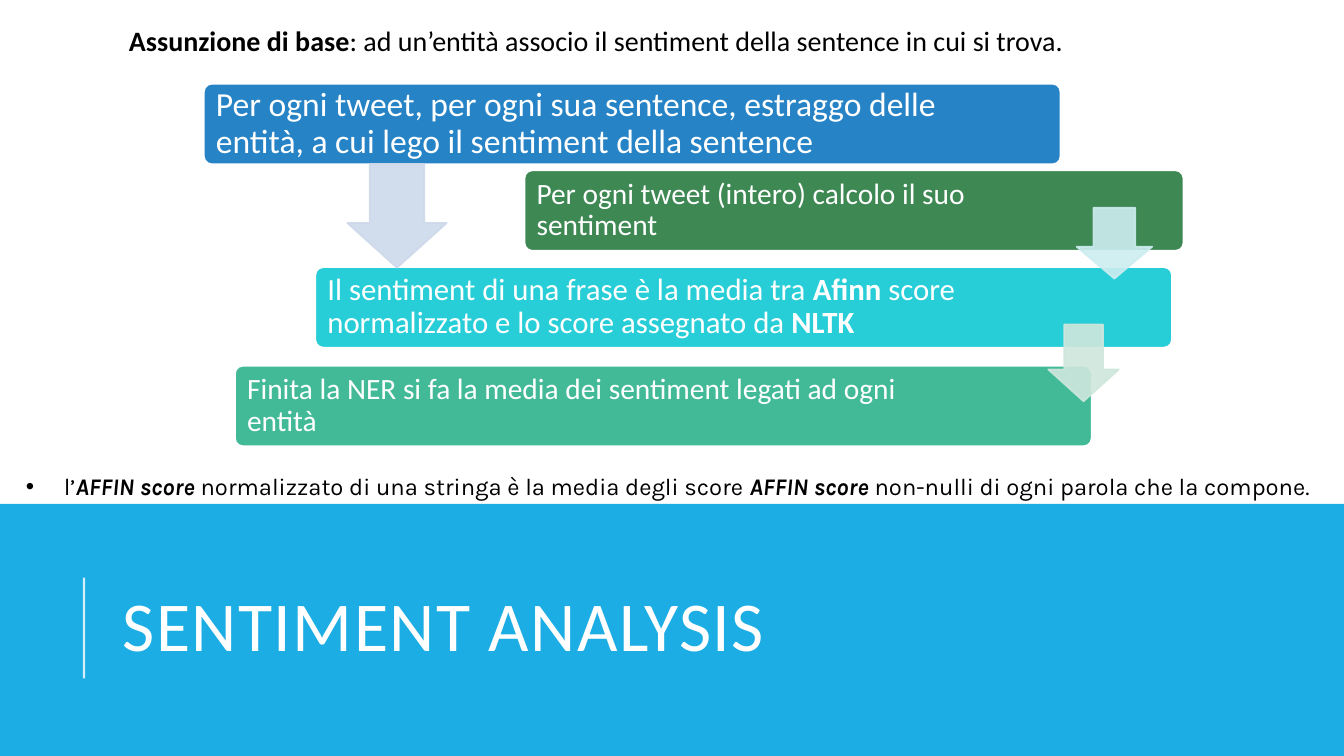
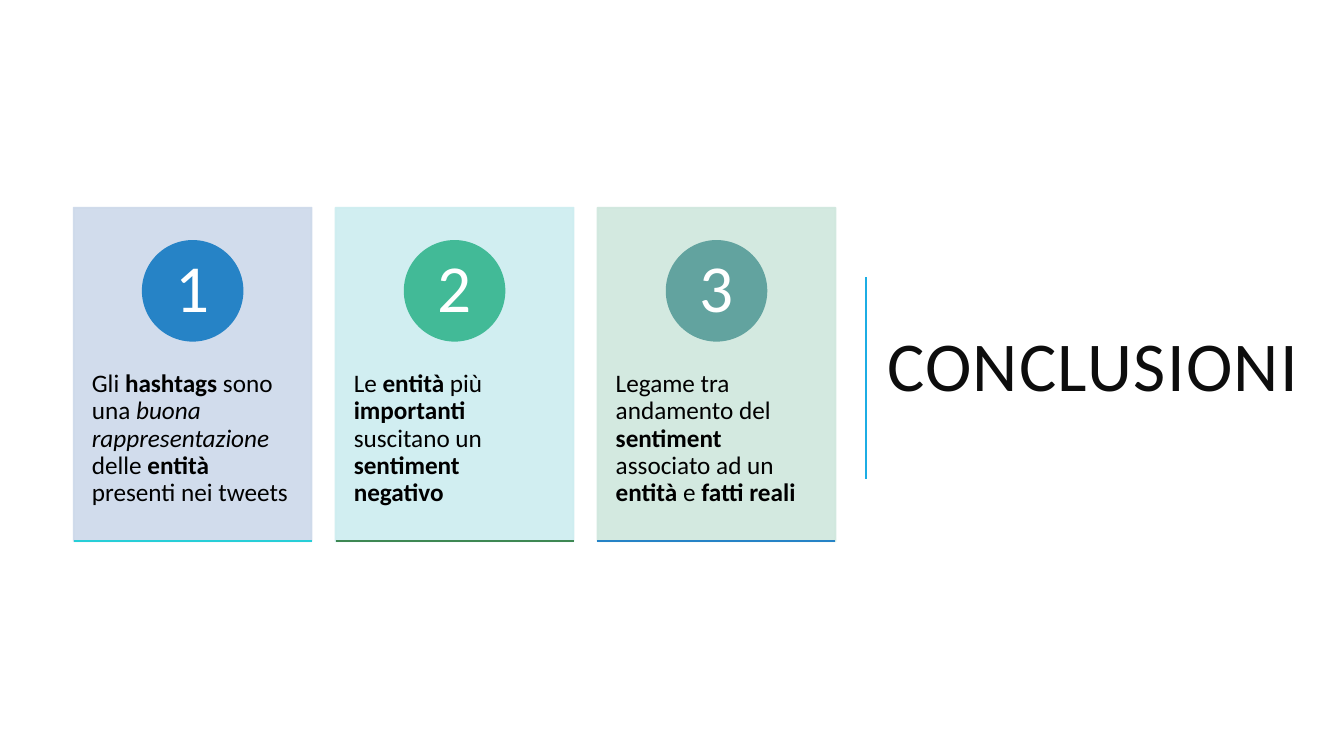
from lxml import etree
from pptx import Presentation
from pptx.dml.color import RGBColor
from pptx.enum.shapes import MSO_CONNECTOR, MSO_SHAPE as SHAPE
from pptx.enum.text import MSO_ANCHOR as ANCHOR, MSO_AUTO_SIZE as AUTO, PP_ALIGN as ALIGN
from pptx.oxml.ns import qn
from pptx.util import Pt

COLORS = {
    "white": "FFFFFF", "black": "000000", "ink": "0D0D0D", "sky": "1CADE4",
    "blue": "2683C6", "cyan": "27CED7", "mint": "42BA97", "green": "3E8853",
    "teal": "62A39F", "pale_blue": "CDD9EA", "pale_cyan": "CDEDF0", "pale_green": "CFE7DD",
}
FONT = "Calibri"
TITLE_ONLY = 5


def rgb(name):
    return RGBColor.from_string(COLORS[name])


def set_alpha(fill, percent):
    """Make a solid fill partly transparent."""
    clr = fill._xPr.find(qn("a:solidFill"))[0]
    etree.SubElement(clr, qn("a:alpha"), val=str(percent * 1000))


def write(tf, runs, size=18, color="black", font=FONT, align=ALIGN.LEFT, anchor=ANCHOR.TOP,
          ins=(7.2, 3.6, 7.2, 3.6), leading=0.9, after=0, spacing=0, bullet_indent=0):
    """Fill a text frame; runs is a string or a list of (text, style), style from "b" and "i"."""
    tf.word_wrap = True
    tf.auto_size = AUTO.NONE
    tf.vertical_anchor = anchor
    tf.margin_left, tf.margin_top, tf.margin_right, tf.margin_bottom = map(Pt, ins)
    p = tf.paragraphs[0]
    p.alignment, p.line_spacing, p.space_after = align, leading, Pt(after)
    for text, style in [(runs, "")] if isinstance(runs, str) else runs:
        r = p.add_run()
        r.text = text
        r.font.name, r.font.size, r.font.color.rgb = font, Pt(size), rgb(color)
        r.font.bold, r.font.italic = "b" in style, "i" in style
        if spacing:
            r.font._element.set("spc", str(spacing * 100))
    if bullet_indent:
        pPr = p._p.get_or_add_pPr()
        pPr.set("marL", str(Pt(bullet_indent)))
        pPr.set("indent", str(-Pt(bullet_indent)))
        etree.SubElement(pPr, qn("a:buFont"), typeface="Arial")
        etree.SubElement(pPr, qn("a:buChar"), char="•")


class Deck:
    def __init__(self):
        self.prs = Presentation()
        self.prs.slide_width, self.prs.slide_height = Pt(960), Pt(540)
        self.slide = None

    def new_slide(self):
        self.slide = self.prs.slides.add_slide(self.prs.slide_layouts[TITLE_ONLY])

    def title(self, text, x, y, w, h, color):
        sp = self.slide.shapes.title
        sp.left, sp.top, sp.width, sp.height = map(Pt, (x, y, w, h))
        sp.element.getparent().append(sp.element)  # in front of the band
        write(sp.text_frame, text, size=50, color=color, anchor=ANCHOR.MIDDLE,
              leading=0.8, spacing=1)

    def shape(self, kind, x, y, w, h, fill, line=None, alpha=None, adj=()):
        sp = self.slide.shapes.add_shape(kind, *map(Pt, (x, y, w, h)))
        sp.shadow.inherit = False
        for i, value in enumerate(adj):
            sp.adjustments[i] = value
        sp.fill.solid()
        sp.fill.fore_color.rgb = rgb(fill)
        if line:
            sp.line.width = Pt(1.25)
            sp.line.color.rgb = rgb(line)
        else:
            sp.line.fill.background()
        if alpha:
            set_alpha(sp.fill, alpha)
            set_alpha(sp.line.fill, alpha)
        return sp

    def line(self, x1, y1, x2, y2, color, width=1.5, alpha=None):
        ln = self.slide.shapes.add_connector(MSO_CONNECTOR.STRAIGHT, *map(Pt, (x1, y1, x2, y2)))
        ln.line.width = Pt(width)
        ln.line.color.rgb = rgb(color)
        if alpha:
            set_alpha(ln.line.fill, alpha)
        etree.SubElement(ln.element.spPr, qn("a:effectLst"))

    def text(self, runs, x, y, w, h, **fmt):
        sp = self.slide.shapes.add_textbox(*map(Pt, (x, y, w, h)))
        write(sp.text_frame, runs, **fmt)

    def step(self, runs, x, y, w, fill, size, right):
        sp = self.shape(SHAPE.ROUNDED_RECTANGLE, x, y, w, 57.6, fill, "white", adj=[0.1])
        write(sp.text_frame, runs, size=size, color="white", anchor=ANCHOR.MIDDLE,
              ins=(7, 0, right, 0))

    def arrow(self, x, y, w, h, color):
        self.shape(SHAPE.DOWN_ARROW, x, y, w, h, color, color, alpha=90, adj=[0.55, 0.45])

    def card(self, number, runs, x, fill, badge, rule):
        y, w, h, d = 148.3, 170, 238.3, 71.3
        sp = self.shape(SHAPE.RECTANGLE, x, y, w, h, fill, fill, alpha=90)
        write(sp.text_frame, runs, ins=(13, 116.6, 13, 0))
        sp = self.shape(SHAPE.OVAL, x + (w - d) / 2, y + 23.8, d, d, badge, badge)
        write(sp.text_frame, str(number), size=48, color="white", align=ALIGN.CENTER,
              anchor=ANCHOR.MIDDLE, ins=(5, 1, 5, 1))
        self.line(x, y + h, x + w, y + h, rule, width=1.25)


def sentiment_slide(deck):
    deck.new_slide()
    # Title band
    deck.shape(SHAPE.RECTANGLE, 0, 360, 960, 180, "sky")
    deck.title("SENTIMENT ANALYSIS", 80.6, 391.7, 765.4, 118, "white")
    deck.line(60, 484.6, 60, 412.6, "white", alpha=80)

    # Process steps
    steps = [
        ("Per ogni tweet, per ogni sua sentence, estraggo delle entità, "
         "a cui lego il sentiment della sentence", 145.6, 59.8, 612, "blue", 24, 69),
        ([("Il sentiment di una frase è la media tra ", ""), ("Afinn", "b"),
          (" score normalizzato e lo score assegnato da ", ""), ("NLTK", "b")],
         225.2, 190.8, 612, "cyan", 22, 94),
        ("Finita la NER si fa la media dei sentiment legati ad ogni entità",
         167.8, 261.2, 612, "mint", 21, 93),
        ("Per ogni tweet (intero) calcolo il suo sentiment",
         374.6, 121.6, 470.8, "green", 21, 74),
    ]
    for step in steps:
        deck.step(*step)
    deck.arrow(248.2, 117.2, 70.8, 74, "pale_blue")
    deck.arrow(769, 148.4, 54, 50.6, "pale_cyan")
    deck.arrow(748.8, 231.8, 50.4, 54.8, "pale_green")

    # Notes above and below the steps
    deck.text([("Assunzione di base", "b"),
               (": ad un’entità associo il sentiment della sentence in cui si trova.", "")],
              85, 13, 790, 31, size=20, leading=1)
    deck.text([("l’", ""), ("AFFIN score", "bi"),
               (" normalizzato di una stringa è la media degli score ", ""),
               ("AFFIN score", "bi"), (" non-nulli di ogni parola che la compone.", "")],
              11.5, 332, 936, 50, size=17, font="Karla", leading=1.07, after=8,
              bullet_indent=27)


def conclusions_slide(deck):
    deck.new_slide()
    deck.title("CONCLUSIONI", 626.4, 41, 313.2, 448.6, "ink")
    deck.line(618.5, 342, 618.5, 198, "sky")

    # Numbered cards
    cards = [
        ([("Gli ", ""), ("hashtags", "b"), (" sono una ", ""), ("buona rappresentazione", "i"),
          (" delle ", ""), ("entità", "b"), (" presenti nei tweets", "")],
         "pale_blue", "blue", "cyan"),
        ([("Le ", ""), ("entità ", "b"), ("più ", ""), ("importanti ", "b"),
          ("suscitano un ", ""), ("sentiment negativo", "b")],
         "pale_cyan", "mint", "green"),
        ([("Legame tra andamento del ", ""), ("sentiment ", "b"), ("associato ad un ", ""),
          ("entità", "b"), (" e ", ""), ("fatti reali", "b")],
         "pale_green", "teal", "blue"),
    ]
    for i, (runs, *colors) in enumerate(cards):
        deck.card(i + 1, runs, 52.6 + i * 187.1, *colors)


def main():
    deck = Deck()
    sentiment_slide(deck)
    conclusions_slide(deck)
    deck.prs.save("out.pptx")


if __name__ == "__main__":
    main()
